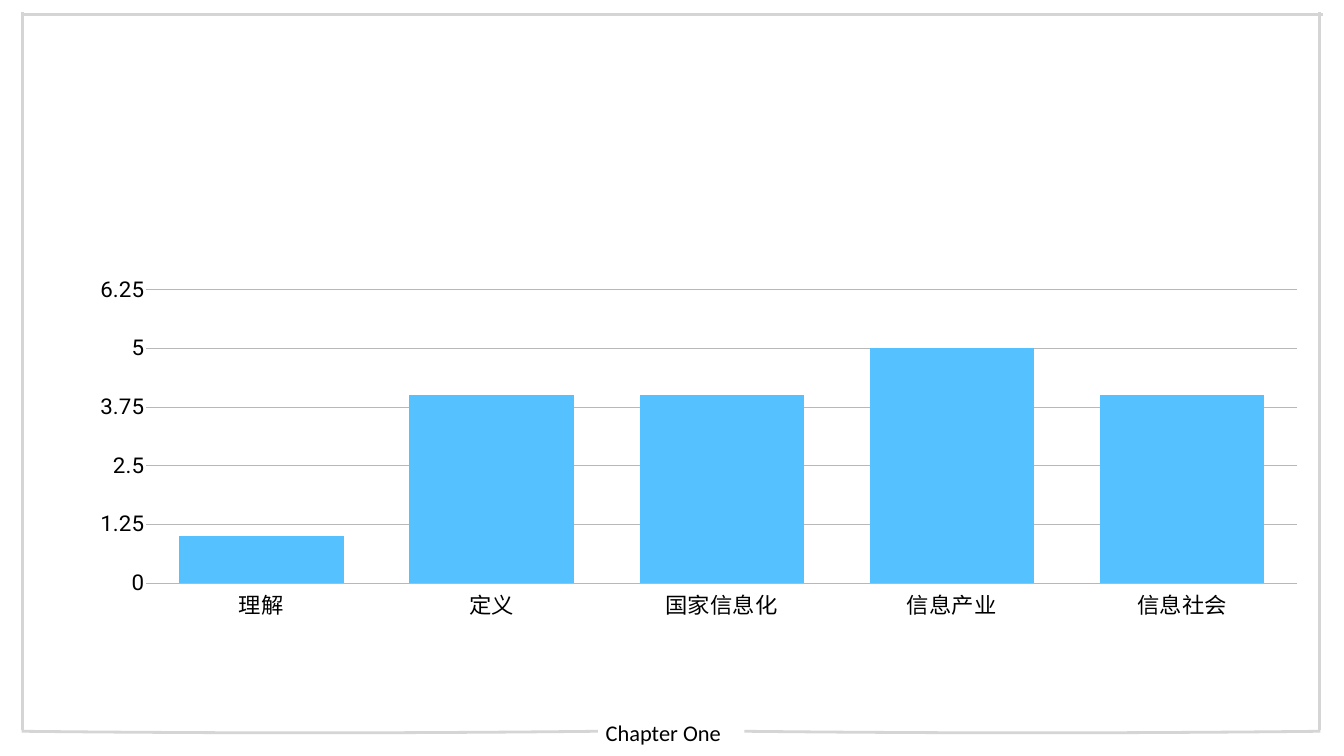
from lxml import etree
from pptx import Presentation
from pptx.chart.data import CategoryChartData
from pptx.dml.color import RGBColor
from pptx.enum.chart import XL_CHART_TYPE as ChartType, XL_TICK_LABEL_POSITION as LabelPosition
from pptx.enum.chart import XL_TICK_MARK as TickMark
from pptx.enum.shapes import MSO_CONNECTOR as Connector
from pptx.enum.text import MSO_ANCHOR as Anchor, MSO_AUTO_SIZE as AutoSize, PP_ALIGN as Align
from pptx.oxml.ns import qn
from pptx.util import Pt

FRAME_GREY = RGBColor(0xD5, 0xD5, 0xD5)
GRID_GREY = RGBColor(0xB8, 0xB8, 0xB8)
BAR_BLUE = RGBColor(0x56, 0xC1, 0xFF)
BLACK = RGBColor(0, 0, 0)

CHAPTERS = ["理解", "定义", "国家信息化", "信息产业", "信息社会"]
COUNTS = [1, 4, 4, 5, 4]


def style_line(line, color, width):
    line.color.rgb = color
    line.width = Pt(width)


def style_font(font, name, size, color=BLACK):
    font.name = name
    font.size = Pt(size)
    font.color.rgb = color


def add_frame_line(page, x1, y1, x2, y2):
    line = page.shapes.add_connector(Connector.STRAIGHT, Pt(x1), Pt(y1), Pt(x2), Pt(y2))
    style_line(line.line, FRAME_GREY, 4)
    etree.SubElement(line._element.spPr, qn("a:effectLst"))


def add_sagging_line(page, left, top, width, sag, steps=24):
    """Draw an open curve that hangs down by sag at its middle."""
    points = [
        (Pt(left + width * i / steps), Pt(top + 4 * sag * (i / steps) * (1 - i / steps)))
        for i in range(steps + 1)
    ]
    builder = page.shapes.build_freeform(*points[0])
    builder.add_line_segments(points[1:], close=False)
    curve = builder.convert_to_shape()
    curve.shadow.inherit = False
    curve.fill.background()
    style_line(curve.line, FRAME_GREY, 4)


def add_label(page, text, left, top, width, height, font="Calibri", size=32, inset=4.3):
    box = page.shapes.add_textbox(Pt(left), Pt(top), Pt(width), Pt(height))
    frame = box.text_frame
    frame.word_wrap = False
    frame.auto_size = AutoSize.SHAPE_TO_FIT_TEXT
    frame.vertical_anchor = Anchor.MIDDLE
    frame.margin_left = frame.margin_right = Pt(inset)
    frame.margin_top = frame.margin_bottom = Pt(inset)
    para = frame.paragraphs[0]
    para.alignment = Align.CENTER
    span = para.add_run()
    span.text = text
    style_font(span.font, font, size)


def style_axis(axis):
    axis.major_tick_mark = axis.minor_tick_mark = TickMark.NONE
    axis.format.line.fill.background()
    style_font(axis.tick_labels.font, "Roboto", 32)
    axis.tick_labels.number_format = "General"
    axis.tick_labels.number_format_is_linked = False


def set_plot_area(chart, **fractions):
    """Fix the inner plot area, given as fractions of the chart."""
    area = chart._chartSpace.chart.plotArea
    for old in area.findall(qn("c:layout")):
        area.remove(old)
    layout = etree.Element(qn("c:layout"))
    area.insert(0, layout)
    manual = etree.SubElement(layout, qn("c:manualLayout"))
    settings = {"layoutTarget": "inner", "xMode": "edge", "yMode": "edge", **fractions}
    for name, value in settings.items():
        etree.SubElement(manual, qn(f"c:{name}")).set("val", str(value))


def add_column_chart(page, left, top, width, height):
    data = CategoryChartData()
    data.categories = CHAPTERS
    data.add_series("Series 1", COUNTS)
    chart = page.shapes.add_chart(
        ChartType.COLUMN_STACKED, Pt(left), Pt(top), Pt(width), Pt(height), data
    ).chart
    chart.has_title = chart.has_legend = False
    style_font(chart.font, "Roboto", 10)

    # Columns
    plot = chart.plots[0]
    plot.vary_by_categories = False
    plot.gap_width, plot.overlap = 40, 100
    fill = plot.series[0].format.fill
    fill.solid()
    fill.fore_color.rgb = BAR_BLUE

    # Axes and gridlines
    style_axis(chart.category_axis)
    chart.category_axis.tick_label_position = LabelPosition.LOW
    scale = chart.value_axis
    style_axis(scale)
    scale.minimum_scale, scale.maximum_scale, scale.major_unit = 0, 6.25, 1.25
    scale.has_major_gridlines = True
    style_line(scale.major_gridlines.format.line, GRID_GREY, 1)
    set_plot_area(chart, x=0.036, y=0.03, w=0.959, h=0.885)


def main():
    deck = Presentation()
    deck.slide_width, deck.slide_height = Pt(1920), Pt(1080)
    page = deck.slides.add_slide(deck.slide_layouts[6])

    # Frame: two sides, the top, and a bottom edge broken by the label
    for x in (32.4, 1885):
        add_frame_line(page, x, 1043.3, x, 16.6)
    add_frame_line(page, 1889.3, 20.2, 31, 20.2)
    for left in (31, 1063.4):
        add_sagging_line(page, left, 1044.7, 823, sag=2.2)
    add_label(page, "Chapter One", 851, 1020.2, 193, 53.3)

    # Chart
    add_column_chart(page, 143.3, 395.3, 1718.6, 489.6)

    deck.save("out.pptx")


if __name__ == "__main__":
    main()
